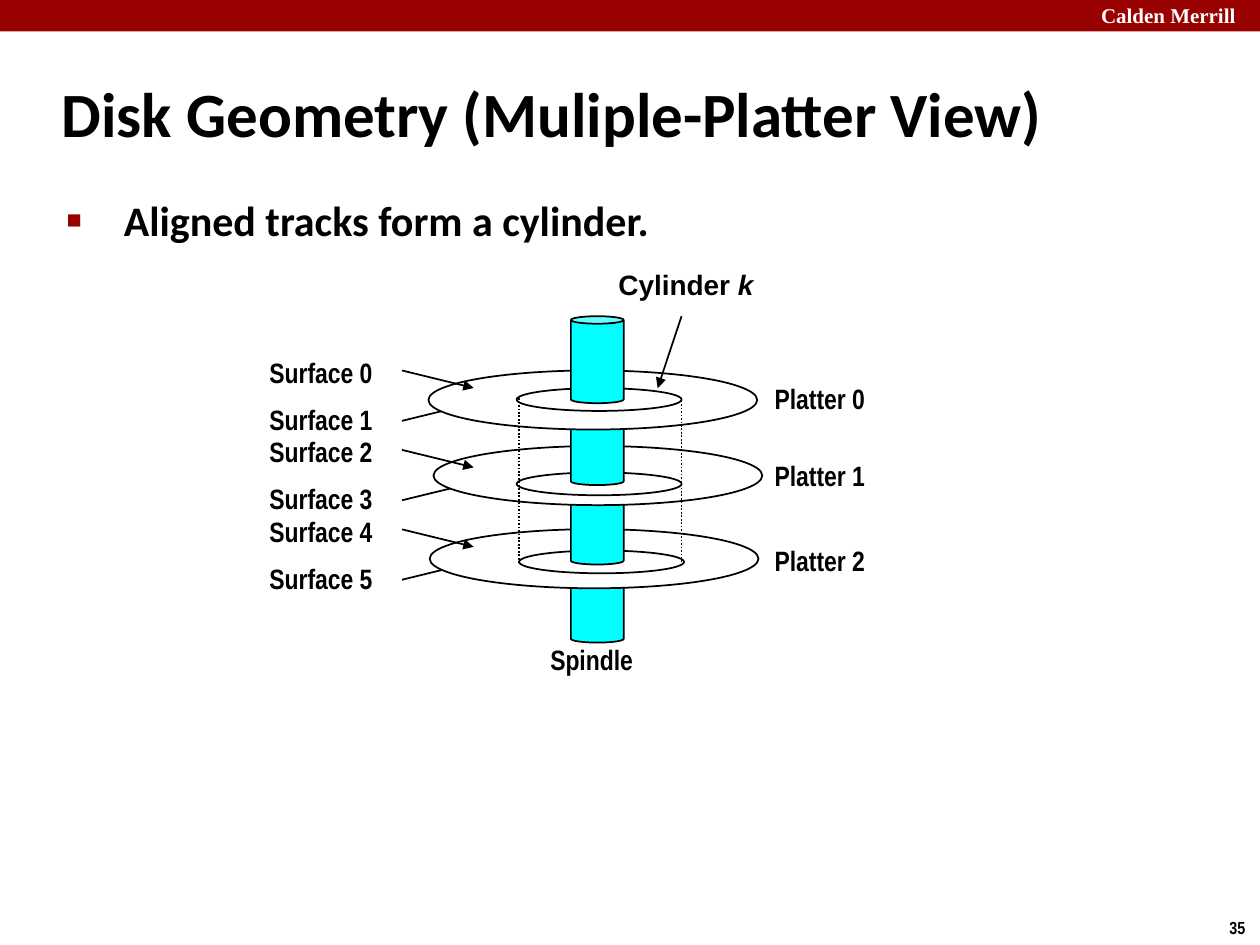
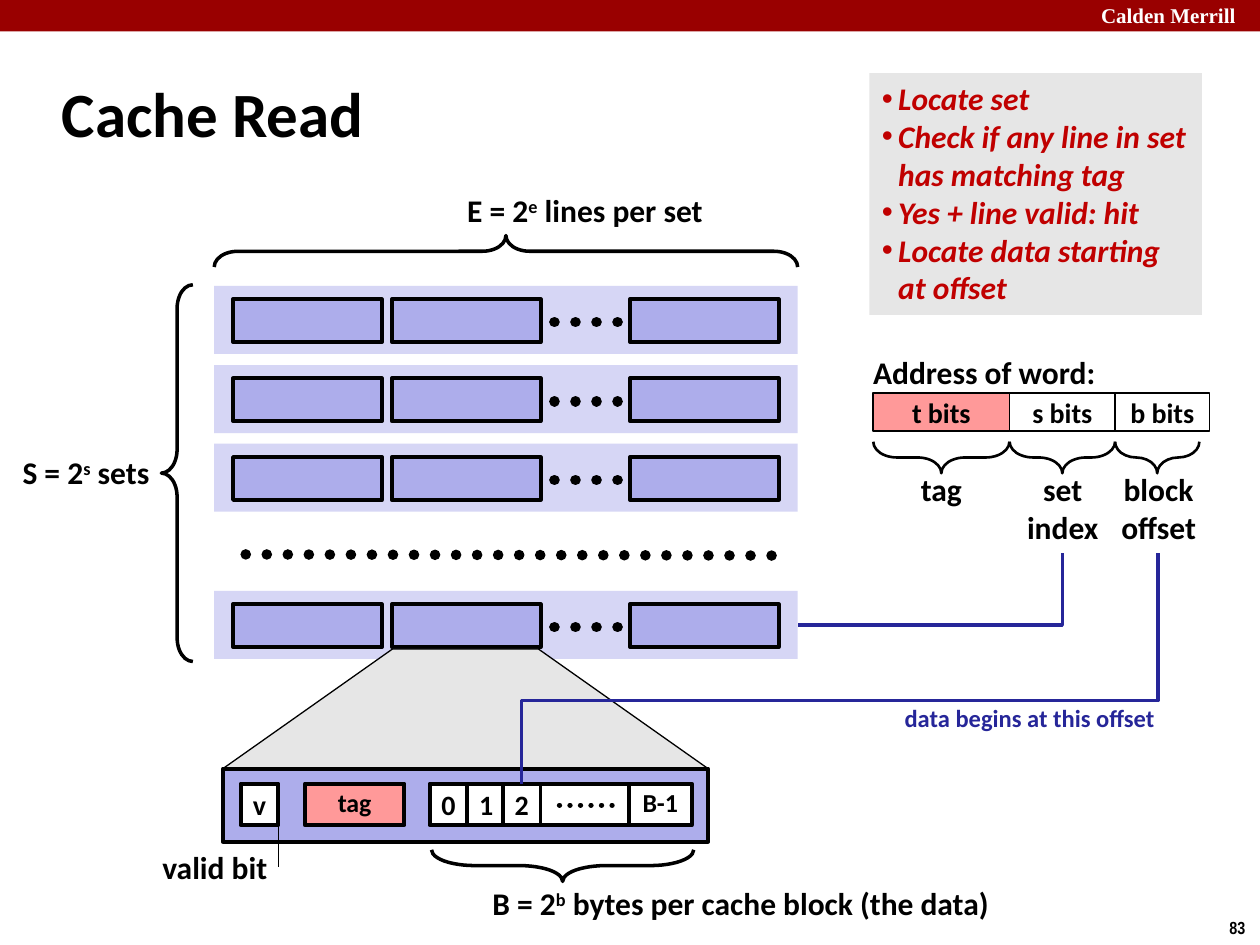
from lxml.etree import SubElement
from pptx import Presentation
from pptx.dml.color import RGBColor
from pptx.enum.dml import MSO_LINE as Dash
from pptx.enum.shapes import MSO_CONNECTOR as Link, MSO_SHAPE as Kind
from pptx.enum.text import MSO_ANCHOR as Anchor, MSO_AUTO_SIZE as Fit, PP_ALIGN as Align
from pptx.oxml.ns import qn
from pptx.util import Pt

# Colours and fonts
BLACK = RGBColor(0, 0, 0)
WHITE = RGBColor(255, 255, 255)
MAROON = RGBColor(0x99, 0, 0)
RED = RGBColor(0xC0, 0, 0)
CYAN = RGBColor(0, 255, 255)
PINK = RGBColor(0xFF, 0x99, 0x99)
GRAY = RGBColor(0xE6, 0xE6, 0xE6)
PALE = RGBColor(0xD6, 0xD6, 0xF5)
LILAC = RGBColor(0xAD, 0xAD, 0xEB)
BLUE = RGBColor(0x26, 0x26, 0x99)
SANS, SLIM, PLAIN, SERIF = "Calibri", "Arial Narrow", "Arial", "Times New Roman"

# Shared content; ^ sets off a raised or slanted part of a text
SCHOOL = "Calden Merrill"

# Disk slide: (platter left, top), (track left, top), label top
PLATTERS = [
    ((244.8, 211.7), (295.2, 221.8), 214.6),
    ((247.7, 254.9), (295.2, 270), 258.5),
    ((245.5, 302.4), (296.6, 314.6), 306.7),
]
SPINDLE = [180.7, 227.5, 272.9, 317.5]
STEP = 45.4  # from one platter's surfaces to the next

# Cache slide
STEPS = ["Locate set", "Check if any line in set\vhas matching tag",
         "Yes + line valid: hit", "Locate data starting\vat offset"]
SETS = [163.4, 208.6, 253.6, 337.7]
LINES = [133.2, 223.9, 360]
FIELDS = [  # text, left, width, brace width, fill
    ("t bits", 499, 77.8, 77.8, PINK),
    ("s bits", 576.9, 60.3, 60.3, WHITE),
    ("b bits", 637.2, 54, 48.2, WHITE),
]
CELLS = [  # text, left, width, fill, size
    ("0", 245.5, 21.6, WHITE, 16),
    ("1", 267.1, 21.6, WHITE, 16),
    ("2", 287.3, 21.6, WHITE, 16),
    ("B-1", 359.3, 36, WHITE, 14.8),
    ("", 308.9, 50.4, WHITE, 16),
    ("tag", 174.2, 56.9, PINK, 14.8),
    ("v", 137.5, 21.6, WHITE, 16),
]
NOTES = [  # text, left, top, width, height
    ("E = 2^e^ lines per set", 259.9, 105.8, 154.1, 28.8),
    ("S = 2^s^ sets", 5.8, 255.6, 88.6, 28.8),
    ("valid bit", 85.7, 481, 74.9, 28.8),
    ("B = 2^b^ bytes per cache block (the data)", 274.3, 501.8, 301.7, 28.8),
    ("Address of word:", 491.8, 198, 142.6, 28.8),
    ("tag", 519.1, 265, 38.2, 28.8),
    ("set\nindex", 579.6, 265, 55.4, 51.1),
    ("block\noffset", 632.9, 265, 58.3, 51.1),
]
RAISED, SLANT = ("baseline", "30000"), ("i", "1")


def pts(*nums):
    return [Pt(num) for num in nums]


def put(frame, text, size=18, face=SANS, color=BLACK, align=Align.LEFT,
        odd=RAISED, slant=None, space=None):
    """Fill a frame, one paragraph a line."""
    for num, line in enumerate(text.split("\n")):
        para = frame.add_paragraph() if num else frame.paragraphs[0]
        if "^" in line:
            for spot, part in enumerate(line.split("^")):
                run = para.add_run()
                run.text = part
                if spot % 2:
                    run._r.get_or_add_rPr().set(*odd)
        else:
            para.text = line
        para.alignment = align
        if space:
            para.line_spacing = space
        font = para.font
        font.name, font.size, font.bold, font.italic = face, Pt(size), True, slant
        font.color.rgb = color


def note(slide, text, x, y, w, h, wrap=False, mid=False, **style):
    frame = slide.shapes.add_textbox(*pts(x, y, w, h)).text_frame
    frame.word_wrap = wrap
    frame.vertical_anchor = Anchor.MIDDLE if mid else Anchor.TOP
    put(frame, text, **style)
    return frame


def mark(frame, char, indent, color=None, scale=None):
    """Give every paragraph a bullet."""
    for para in frame.paragraphs:
        props = para._p.get_or_add_pPr()
        props.set("marL", str(Pt(indent)))
        props.set("indent", str(-Pt(indent)))
        parts = []
        if color:
            tint = SubElement(props, qn("a:buClr"))
            SubElement(tint, qn("a:srgbClr")).set("val", str(color))
            parts.append(tint)
        if scale:
            parts.append(SubElement(props, qn("a:buSzPct")))
            parts[-1].set("val", str(scale * 1000))
        for tag, key, val in (("buFont", "typeface", PLAIN), ("buChar", "char", char)):
            parts.append(SubElement(props, qn("a:" + tag)))
            parts[-1].set(key, val)
        for spot, part in enumerate(parts):  # bullets come before the font
            props.insert(spot, part)


def box(slide, kind, x, y, w, h, fill=None, edge=None, adj=()):
    """Add a preset shape; edge is the width of its black outline."""
    shape = slide.shapes.add_shape(kind, *pts(x, y, w, h))
    shape.shadow.inherit = False
    if fill is None:
        shape.fill.background()
    else:
        shape.fill.solid()
        shape.fill.fore_color.rgb = fill
    if edge:
        shape.line.color.rgb = BLACK
        shape.line.width = Pt(edge)
    else:
        shape.line.fill.background()
    for spot, val in enumerate(adj):
        shape.adjustments[spot] = val
    return shape


def cell(slide, text, x, y, w, h, fill, edge, wrap=False, **style):
    frame = box(slide, Kind.RECTANGLE, x, y, w, h, fill, edge).text_frame
    frame.word_wrap = wrap
    frame.vertical_anchor = Anchor.MIDDLE
    if text:
        put(frame, text, align=Align.CENTER, **style)


def brace(slide, x, y, span, turn, edge=2, bend=0.75):
    """Lay a brace along a row: turn 90 points up, 270 points down."""
    shape = box(slide, Kind.LEFT_BRACE, x + span / 2 - 9, y + 9 - span / 2,
                18, span, edge=edge, adj=(bend, 0.5))
    shape.rotation = turn


def ink(link, color, width):
    link.line.color.rgb = color
    link.line.width = Pt(width)
    SubElement(link._element.spPr, qn("a:effectLst"))
    return link._element.spPr.find(qn("a:ln"))


def rule(slide, x1, y1, x2, y2, width=1, dots=False, cap=None, head=False):
    link = slide.shapes.add_connector(Link.STRAIGHT, *pts(x1, y1, x2, y2))
    line = ink(link, BLACK, width)
    if dots:
        link.line.dash_style = Dash.ROUND_DOT
    if cap:
        line.set("cap", cap)
    if head:
        SubElement(line, qn("a:tailEnd")).set("type", "triangle")


def elbow(slide, x1, y1, x2, y2, preset, bend=None):
    """Run down from the first point, then left to the second."""
    wide, high = y2 - y1, x1 - x2  # sides before the quarter turn
    left, top = (x1 + x2 - wide) / 2, (y1 + y2 - high) / 2
    link = slide.shapes.add_connector(Link.ELBOW, *pts(left, top, left + wide, top + high))
    props = link._element.spPr
    props.find(qn("a:xfrm")).set("rot", "5400000")
    shape = props.find(qn("a:prstGeom"))
    shape.set("prst", preset)
    if bend:
        guide = SubElement(shape.find(qn("a:avLst")), qn("a:gd"))
        guide.set("name", "adj1")
        guide.set("fmla", f"val {bend}")
    ink(link, BLUE, 2)


def start(deck, title, page):
    """Add a slide with the band, page number and title."""
    slide = deck.slides.add_slide(deck.slide_layouts[5])
    box(slide, Kind.RECTANGLE, 0, 0, 720, 18, MAROON)
    note(slide, SCHOOL, 622.1, -2.2, 97.9, 21.6, size=12, face=SERIF, color=WHITE)
    note(slide, page, 695.5, 520.6, 24.5, 19.4, size=10, face=SLIM)
    head = slide.shapes.title
    head.left, head.top, head.width, head.height = pts(28.1, 34.2, 597.6, 59.8)
    frame = head.text_frame
    frame.word_wrap, frame.auto_size = True, Fit.NONE
    frame.vertical_anchor = Anchor.MIDDLE
    put(frame, title, size=36)
    return slide


def disk(deck):
    slide = start(deck, "Disk Geometry (Muliple-Platter View)", "35")
    body = note(slide, "Aligned tracks form a cylinder.", 31, 107.6, 622, 390,
                wrap=True, size=24)
    mark(body, "■", 32.7, MAROON, 60)

    # Arrows to the undersides, hidden in part by the platters
    for num in range(3):
        y = 240.5 + num * STEP
        rule(slide, 229.7, y, 270.7, y - 10, head=True)

    # Spindle, platters and tracks, from the bottom up
    def rod(y):
        box(slide, Kind.CAN, 326.2, y, 30.2, 49.7, CYAN, 1, (0.142,))

    for (disc, track, _), y in reversed(list(zip(PLATTERS, SPINDLE[1:]))):
        rod(y)
        box(slide, Kind.OVAL, *disc, 187.9, 33.8, WHITE, 1)
        box(slide, Kind.OVAL, *track, 94.3, 13, edge=1)
    rod(SPINDLE[0])

    # Arrows to the upper sides, cylinder walls and pointer
    for num in range(3):
        y = 211.7 + num * STEP
        rule(slide, 229.7, y, 270.7, y + 10, head=True)
    rule(slide, 296.6, 227.5, 296.6, 321.8, dots=True)
    rule(slide, 389.5, 229, 389.5, 322.6, dots=True)
    rule(slide, 389.5, 180.7, 375.8, 221.8, head=True)

    # Labels
    style = dict(mid=True, size=16, face=SLIM)
    for num in range(6):
        y = 199.3 + num // 2 * STEP + num % 2 * 27
        note(slide, f"Surface {num}", 146.9, y, 74.2, 26.6, **style)
    for num, (_, _, y) in enumerate(PLATTERS):
        note(slide, f"Platter {num}", 435.6, y, 67, 26.6, **style)
    note(slide, "Spindle", 307.4, 363.6, 62.6, 26.6, **style)
    note(slide, "Cylinder ^k", 346.3, 149.4, 93.6, 26.6, mid=True, size=16,
         face=PLAIN, odd=SLANT)


def cache(deck):
    slide = start(deck, "Cache Read", "83")

    # Sets and their lines
    for y in SETS:
        box(slide, Kind.RECTANGLE, 122.4, y, 333.4, 38.9, PALE)
        for x in LINES:
            box(slide, Kind.RECTANGLE, x, y + 7.6, 85, 24.5, LILAC, 2.25)
        rule(slide, 316.8, y + 20.7, 360.7, y + 20.7, 6, dots=True, cap="rnd")
    rule(slide, 140.4, 316.8, 445.7, 317.5, 6, dots=True, cap="rnd")
    brace(slide, 122.4, 134.6, 333.4, 90)
    box(slide, Kind.LEFT_BRACE, 92.2, 162.7, 18, 215.3, edge=2, adj=(0.75, 0.5))

    # One line, enlarged
    box(slide, Kind.TRAPEZOID, 127.4, 370.8, 277.2, 68.4, GRAY, 0.75, (1.418,))
    box(slide, Kind.RECTANGLE, 127.4, 439.2, 277.2, 41.8, LILAC, 2.25)
    for text, x, w, fill, size in CELLS:
        cell(slide, text, x, 447.8, w, 23.8, fill, 2.25, size=size,
             space=0.9 if size < 16 else None)
    rule(slide, 319.7, 460.1, 355.7, 460.1, 3, dots=True, cap="rnd")
    rule(slide, 159.1, 495.4, 159.1, 471.6, 0.75)
    brace(slide, 246.6, 485.6, 149.8, 270, bend=1.37)

    # Address fields
    for text, x, w, span, fill in FIELDS:
        cell(slide, text, x, 224.6, w, 21.6, fill, 1, wrap=True, size=16)
        brace(slide, x, 252.4, span, 270, edge=1.5)

    # Labels and links
    for text, *place in NOTES:
        note(slide, text, *place, align=Align.CENTER if "\n" in text else Align.LEFT)
    elbow(slide, 607, 316.1, 455.8, 357.1, "bentConnector2")
    elbow(slide, 661.7, 316.1, 298.1, 448.2, "bentConnector3", 63800)
    note(slide, "data begins at this offset", 509.8, 398.2, 158.4, 24.5, size=14, color=BLUE)

    # Steps of a read
    frame = box(slide, Kind.RECTANGLE, 496.8, 41.8, 190.1, 138.2, GRAY).text_frame
    frame.word_wrap = False
    frame.vertical_anchor = Anchor.TOP
    put(frame, "\n".join(STEPS), color=RED, slant=True)
    mark(frame, "•", 9.4)


def main():
    deck = Presentation()
    deck.slide_width, deck.slide_height = pts(720, 540)
    disk(deck)
    cache(deck)
    deck.save("out.pptx")


if __name__ == "__main__":
    main()
